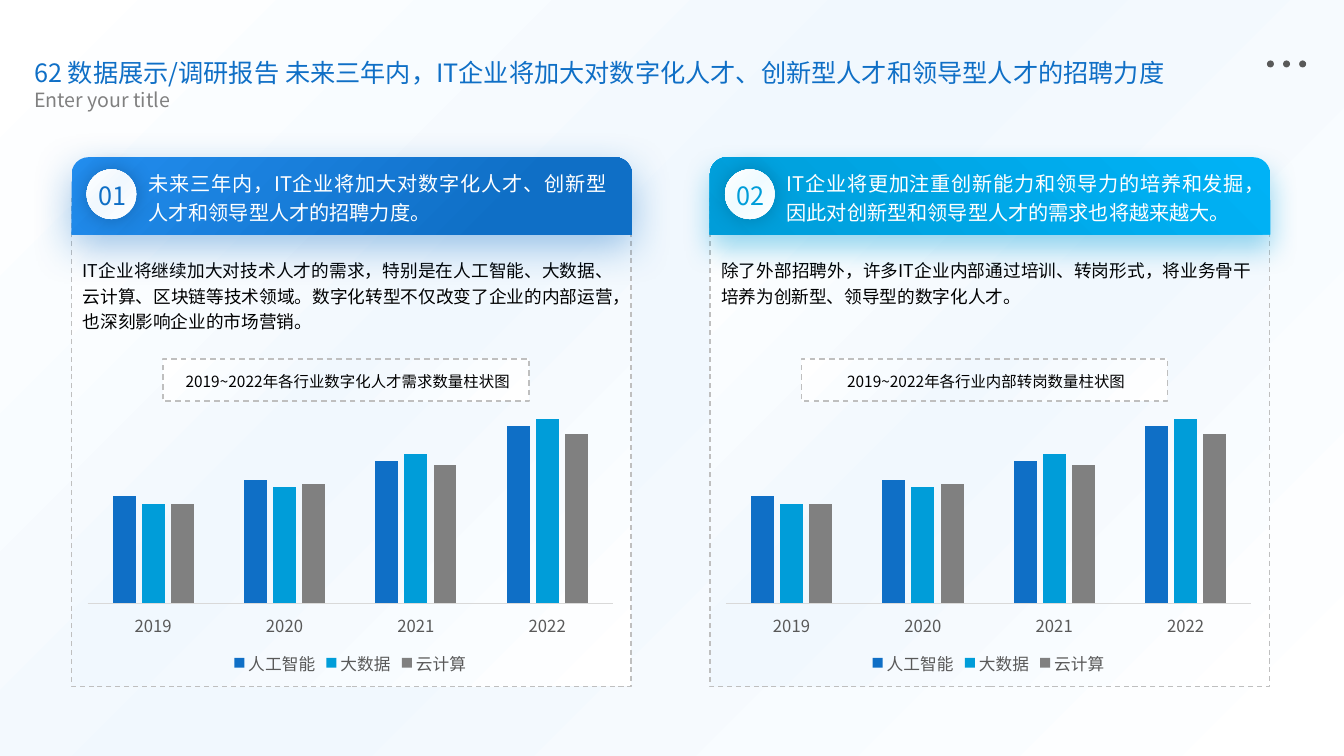
from lxml import etree
from pptx import Presentation
from pptx.chart.data import CategoryChartData
from pptx.dml.color import RGBColor
from pptx.enum.chart import XL_CHART_TYPE, XL_LEGEND_POSITION, XL_TICK_LABEL_POSITION, XL_TICK_MARK
from pptx.enum.dml import MSO_LINE
from pptx.enum.shapes import MSO_SHAPE
from pptx.enum.text import MSO_ANCHOR, MSO_AUTO_SIZE, PP_ALIGN
from pptx.oxml.ns import qn
from pptx.util import Pt

RECT, OVAL, TAB = MSO_SHAPE.RECTANGLE, MSO_SHAPE.OVAL, MSO_SHAPE.ROUND_2_SAME_RECTANGLE
LEFT, CENTER, JUSTIFY = PP_ALIGN.LEFT, PP_ALIGN.CENTER, PP_ALIGN.JUSTIFY
COLUMNS, NO_TICK, LOW = XL_CHART_TYPE.COLUMN_CLUSTERED, XL_TICK_MARK.NONE, XL_TICK_LABEL_POSITION.LOW
BOTTOM, DASH = XL_LEGEND_POSITION.BOTTOM, MSO_LINE.DASH
TOP, GROW = MSO_ANCHOR.TOP, MSO_AUTO_SIZE.SHAPE_TO_FIT_TEXT

FONT = "Noto Sans CJK SC"
COLORS = {
    "blue": "0F6FC6", "bright": "228DEE", "navy": "083763",
    "cyan": "009DD9", "sky": "00B2F6", "teal": "004E6C",
    "white": "FFFFFF", "mist": "F1F8FE", "ice": "F0FBFF",
    "black": "000000", "dark": "595959", "gray": "808080",
    "border": "BFBFBF", "axis": "D9D9D9",
}
TOP_LEFT = (0, 0, 100, 100)
PALE = ([(0, "white"), (46, "mist"), (100, "white")], TOP_LEFT)
TEXT_INSETS = (6.5, 2.9)
PANEL_STEP = 456
YEARS = ["2019", "2020", "2021", "2022"]
SERIES = [
    ("人工智能", "blue", (58, 67, 77, 96)),
    ("大数据", "cyan", (54, 63, 81, 100)),
    ("云计算", "gray", (54, 65, 75, 92)),
]
PANELS = [
    {
        "number": "01", "color": "blue", "body_height": 60.5,
        "headline": "未来三年内，IT企业将加大对数字化人才、创新型人才和领导型人才的招聘力度。",
        "body": "IT企业将继续加大对技术人才的需求，特别是在人工智能、大数据、云计算、区块链等技术领域。"
                "数字化转型不仅改变了企业的内部运营，也深刻影响企业的市场营销。",
        "caption": "2019~2022年各行业数字化人才需求数量柱状图",
        "header": ([(23, "blue"), (100, "bright")], (100, 100, 0, 0)),
        "header_shadow": ("blue", 29.2, 8.7),
        "badge": PALE, "badge_shadow": ("navy", 15, 0),
    },
    {
        "number": "02", "color": "cyan", "body_height": 41.8,
        "headline": "IT企业将更加注重创新能力和领导力的培养和发掘，因此对创新型和领导型人才的需求也将越来越大。",
        "body": "除了外部招聘外，许多IT企业内部通过培训、转岗形式，将业务骨干培养为创新型、领导型的数字化人才。",
        "caption": "2019~2022年各行业内部转岗数量柱状图",
        "header": ([(0, "cyan"), (100, "sky")], (0, 100, 100, 0)),
        "header_shadow": ("cyan", 20, 9.7),
        "badge": ([(0, "white"), (46, "ice"), (100, "white")], TOP_LEFT),
        "badge_shadow": ("teal", 15, 0),
    },
]


def rgb(name):
    return RGBColor.from_string(COLORS[name])


def child(parent, tag, **attributes):
    return etree.SubElement(parent, qn(tag), {key: str(value) for key, value in attributes.items()})


def style_font(font, size, color):
    font.size = Pt(size)
    font.color.rgb = rgb(color)
    font.name = FONT
    child(font._rPr, "a:ea", typeface=FONT)


def fill_gradient(shape, gradient):
    stops, focus = gradient
    shape.fill.background()
    properties = shape._element.spPr
    fill = etree.Element(qn("a:gradFill"), {"rotWithShape": "1"})
    stop_list = child(fill, "a:gsLst")
    for position, color in stops:
        stop = child(stop_list, "a:gs", pos=position * 1000)
        child(stop, "a:srgbClr", val=COLORS[color])
    radial = child(fill, "a:path", path="circle")
    child(radial, "a:fillToRect", **{side: value * 1000 for side, value in zip("ltrb", focus)})
    properties.replace(properties.find(qn("a:noFill")), fill)


def cast_shadow(shape, color, blur, distance):
    effects = shape._element.spPr.find(qn("a:effectLst"))
    shadow = child(effects, "a:outerShdw", blurRad=Pt(blur), dist=Pt(distance),
                   dir=5400000 if distance else 0, algn="ctr", rotWithShape=0)
    tint = child(shadow, "a:srgbClr", val=COLORS[color])
    child(tint, "a:alpha", val=40000)


def add_figure(shapes, kind, bounds, fill, border=None):
    shape = shapes.add_shape(kind, *map(Pt, bounds))
    shape.shadow.inherit = False
    if isinstance(fill, str):
        shape.fill.solid()
        shape.fill.fore_color.rgb = rgb(fill)
    else:
        fill_gradient(shape, fill)
    if border:
        shape.line.color.rgb = rgb("border")
        shape.line.width = Pt(border)
        shape.line.dash_style = DASH
    else:
        shape.line.fill.background()
    return shape


def write_text(box, text, size, color, align=LEFT, spacing=None, insets=(7.2, 3.6)):
    frame = box.text_frame
    frame.word_wrap = True
    frame.auto_size = GROW
    frame.vertical_anchor = TOP
    frame.margin_left = frame.margin_right = Pt(insets[0])
    frame.margin_top = frame.margin_bottom = Pt(insets[1])
    para = frame.paragraphs[0]
    para.alignment = align
    para.line_spacing = spacing
    span = para.add_run()
    span.text = text
    style_font(span.font, size, color)


def add_text(shapes, bounds, *content, **options):
    write_text(shapes.add_textbox(*map(Pt, bounds)), *content, **options)


def place_title(page, text):
    title = page.shapes.title
    title.left, title.top, title.width, title.height = map(Pt, (17.3, 37.4, 886.3, 28.8))
    write_text(title, text, 18, "blue")


def set_plot_layout(chart, **fractions):
    plot_area = chart._chartSpace.chart.plotArea
    for old in plot_area.findall(qn("c:layout")):
        plot_area.remove(old)
    layout = etree.Element(qn("c:layout"))
    manual = child(layout, "c:manualLayout")
    child(manual, "c:layoutTarget", val="inner")
    for mode in ("xMode", "yMode"):
        child(manual, f"c:{mode}", val="edge")
    for name, value in fractions.items():
        child(manual, f"c:{name}", val=value)
    plot_area.insert(0, layout)


def add_column_chart(page, bounds):
    data = CategoryChartData()
    data.categories = YEARS
    for name, _, values in SERIES:
        data.add_series(name, values)
    chart = page.shapes.add_chart(COLUMNS, *map(Pt, bounds), data).chart
    chart.has_title = False
    style_font(chart.font, 10, "black")
    plot = chart.plots[0]
    plot.vary_by_categories = False
    plot.gap_width = 219
    plot.overlap = -27
    for series, (_, color, _) in zip(plot.series, SERIES):
        series.format.fill.solid()
        series.format.fill.fore_color.rgb = rgb(color)
    years = chart.category_axis
    years.major_tick_mark = years.minor_tick_mark = NO_TICK
    years.tick_label_position = LOW
    years.format.line.color.rgb = rgb("axis")
    years.format.line.width = Pt(0.75)
    style_font(years.tick_labels.font, 11.9, "dark")
    amounts = chart.value_axis
    amounts.minimum_scale, amounts.maximum_scale = 0, 110
    amounts.has_major_gridlines = False
    amounts.visible = False
    chart.has_legend = True
    chart.legend.position = BOTTOM
    chart.legend.include_in_layout = False
    style_font(chart.legend.font, 11.9, "dark")
    set_plot_layout(chart, x=0.02, y=0.05, w=0.96, h=0.69)


def add_badge(page, x, panel):
    group = page.shapes.add_group_shape()
    disc = add_figure(group.shapes, OVAL, (x + 61.9, 121, 35.5, 35.5), panel["badge"])
    cast_shadow(disc, *panel["badge_shadow"])
    add_text(group.shapes, (x + 59.8, 125.3, 41, 28.8), panel["number"], 18, panel["color"], align=CENTER)


def add_panel(page, x, panel):
    shapes = page.shapes
    add_figure(shapes, RECT, (x + 51.2, 141.9, 399.6, 348.5), PALE, 0.9)
    add_figure(shapes, RECT, (x + 116.5, 256.3, 261.4, 30.2), PALE, 1)
    add_text(shapes, (x + 52.6, 180, 391.7, panel["body_height"]), panel["body"], 12.6, "black",
             align=JUSTIFY, spacing=1.2, insets=TEXT_INSETS)
    add_column_chart(page, (x + 54.7, 275.8, 391, 209.5))
    header = add_figure(shapes, TAB, (x + 51.1, 112.3, 400.3, 55.4), panel["header"])
    header.adjustments[0] = 0.22
    cast_shadow(header, *panel["header_shadow"])
    add_text(shapes, (x + 99.4, 115.9, 340.6, 46.8), panel["headline"], 14.4, "white",
             align=JUSTIFY, spacing=1.2, insets=TEXT_INSETS)
    add_badge(page, x, panel)
    add_text(shapes, (x + 52.6, 259.9, 391.7, 21.6), panel["caption"], 11, "black",
             align=CENTER, spacing=1.2, insets=TEXT_INSETS)


def main():
    deck = Presentation()
    deck.slide_width, deck.slide_height = Pt(960), Pt(540)
    page = deck.slides.add_slide(deck.slide_layouts[5])
    backdrop = add_figure(page.shapes, RECT, (0, 0, 960, 540), PALE)
    page.shapes._spTree.insert(2, backdrop._element)
    place_title(page, "62 数据展示/调研报告 未来三年内，IT企业将加大对数字化人才、创新型人才和领导型人才的招聘力度")
    add_text(page.shapes, (17.3, 59, 206, 24.5), "Enter your title", 14, "gray")
    for index in range(3):
        add_figure(page.shapes, OVAL, (905 + 11.5 * index, 43.2, 5, 5), "dark")
    for index, panel in enumerate(PANELS):
        add_panel(page, PANEL_STEP * index, panel)
    deck.save("out.pptx")


if __name__ == "__main__":
    main()
